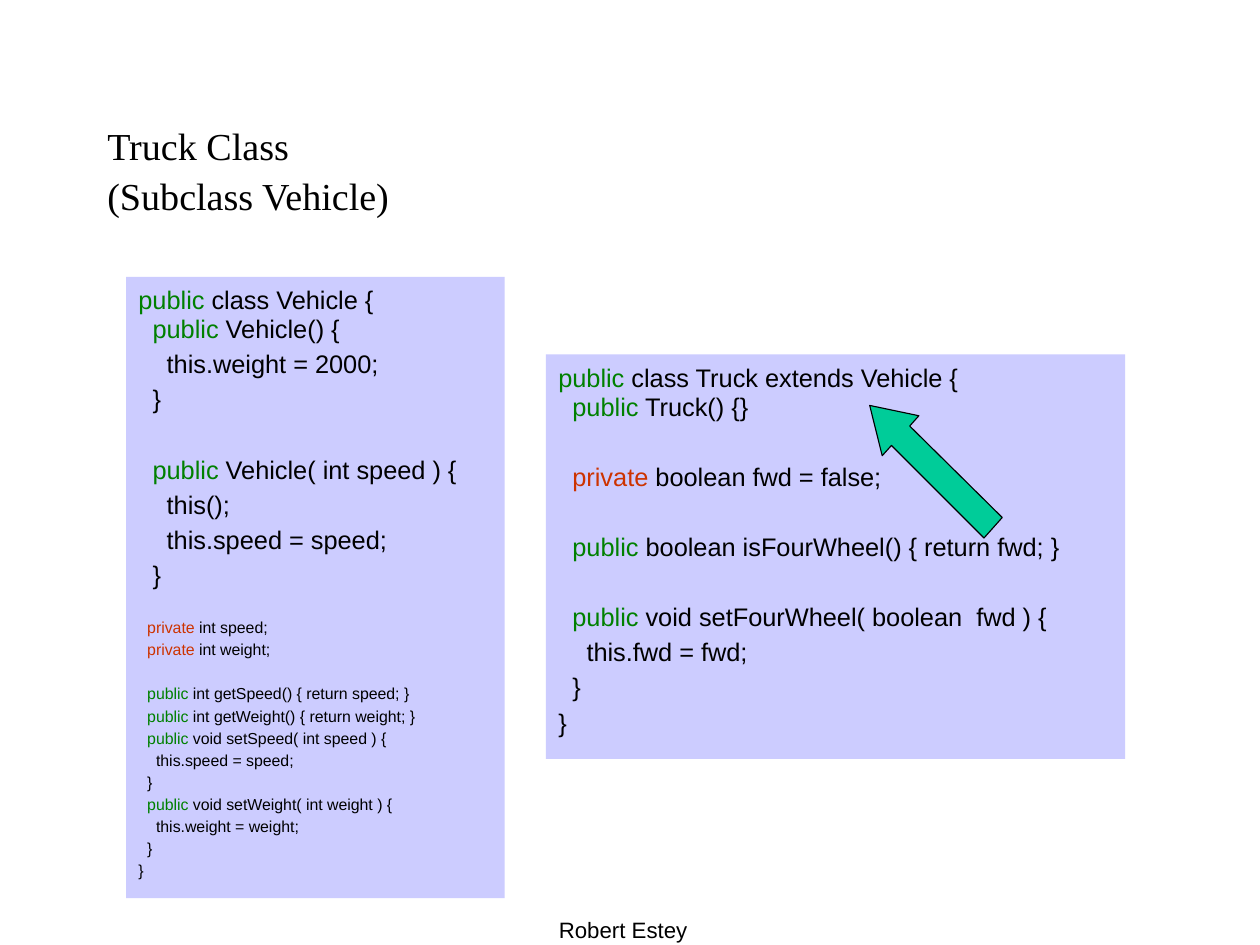
from dataclasses import dataclass
from typing import Any

from lxml.etree import SubElement
from pptx import Presentation
from pptx.dml.color import RGBColor
from pptx.enum.text import MSO_ANCHOR, MSO_AUTO_SIZE, PP_ALIGN
from pptx.oxml.ns import qn
from pptx.util import Pt

COLOURS = {
    "text": "000000",
    "public": "008000",
    "private": "CC3300",
    "panel": "CCCCFF",
    "arrow": "00CC99",
}
INDENT_EM = 0.556
LINE_HEIGHT = 1.15
LARGE, SMALL = 16, 10
LARGE_GAP, LARGE_BREAK = 3.7, 25.8
SMALL_GAP, SMALL_BREAK, SECTION_BREAK = 2.4, 16.3, 18.3


@dataclass(frozen=True)
class CodeLine:
    text: str
    level: int = 0
    gap: float = LARGE_GAP
    size: int = LARGE


@dataclass(frozen=True)
class CodePanel:
    placeholder: int
    left: float
    top: float
    width: float
    height: float
    lines: tuple[CodeLine, ...]


def small(text: str, level: int = 0, gap: float = SMALL_GAP) -> CodeLine:
    return CodeLine(text, level, gap, SMALL)


VEHICLE = CodePanel(1, 79.4, 174.4, 238.6, 391.4, (
    CodeLine("public class Vehicle {", 0, 0),
    CodeLine("public Vehicle() {", 1, 0),
    CodeLine("this.weight = 2000;", 2),
    CodeLine("}", 1),
    CodeLine("public Vehicle( int speed ) {", 1, LARGE_BREAK),
    CodeLine("this();", 2),
    CodeLine("this.speed = speed;", 2),
    CodeLine("}", 1),
    small("private int speed;", 1, SECTION_BREAK),
    small("private int weight;", 1),
    small("public int getSpeed() { return speed; }", 1, SMALL_BREAK),
    small("public int getWeight() { return weight; }", 1),
    small("public void setSpeed( int speed ) {", 1),
    small("this.speed = speed;", 2),
    small("}", 1),
    small("public void setWeight( int weight ) {", 1),
    small("this.weight = weight;", 2),
    small("}", 1),
    small("}"),
))
TRUCK = CodePanel(2, 343.9, 223.2, 365, 254.9, (
    CodeLine("public class Truck extends Vehicle {", 0, 0),
    CodeLine("public Truck() {}", 1, 0),
    CodeLine("private boolean fwd = false;", 1, LARGE_BREAK),
    CodeLine("public boolean isFourWheel() { return fwd; }", 1, LARGE_BREAK),
    CodeLine("public void setFourWheel( boolean  fwd ) {", 1, LARGE_BREAK),
    CodeLine("this.fwd = fwd;", 2),
    CodeLine("}", 1),
    CodeLine("}"),
))
ARROW_OUTLINE = (
    (619.9, 338.9), (561.6, 280.6), (555.8, 287.1), (547.9, 255.4),
    (578.9, 261.9), (573.1, 268.4), (631.4, 326),
)


def apply(target: Any, values: dict[str, Any]) -> None:
    for attribute, value in values.items():
        setattr(target, attribute, value)


def place(shape: Any, left: float, top: float, width: float, height: float) -> None:
    apply(shape, {"left": Pt(left), "top": Pt(top), "width": Pt(width), "height": Pt(height)})


def set_frame(shape: Any, left_inset: float = 0, top_inset: float = 0) -> None:
    apply(shape.text_frame, {
        "word_wrap": True,
        "auto_size": MSO_AUTO_SIZE.NONE,
        "vertical_anchor": MSO_ANCHOR.TOP,
        "margin_left": Pt(left_inset),
        "margin_top": Pt(top_inset),
        "margin_right": Pt(0),
        "margin_bottom": Pt(0),
    })


def paint(shape: Any, colour: str) -> None:
    shape.fill.solid()
    shape.fill.fore_color.rgb = RGBColor.from_string(COLOURS[colour])


def add_words(paragraph: Any, text: str, font_name: str, size: float, colour: str = "text") -> None:
    words = paragraph.add_run()
    words.text = text
    apply(words.font, {"name": font_name, "size": Pt(size)})
    words.font.color.rgb = RGBColor.from_string(COLOURS[colour])


def add_paragraph(frame: Any, position: int, gap: float, size: float) -> Any:
    paragraph = frame.add_paragraph() if position else frame.paragraphs[0]
    apply(paragraph, {
        "alignment": PP_ALIGN.LEFT,
        "space_before": Pt(gap),
        "space_after": Pt(0),
        "line_spacing": Pt(LINE_HEIGHT * size),
    })
    return paragraph


def write_title(title: Any) -> None:
    place(title, 67.6, 78.1, 300, 62)
    set_frame(title)
    for position, heading in enumerate(("Truck Class", "(Subclass Vehicle)")):
        paragraph = add_paragraph(title.text_frame, position, 3.9 * position, 24)
        add_words(paragraph, heading, "Times New Roman", 24)


def write_panel(slide: Any, panel: CodePanel) -> None:
    listing = slide.placeholders[panel.placeholder]
    place(listing, panel.left, panel.top, panel.width, panel.height)
    set_frame(listing, 7.8, 5.4)
    paint(listing, "panel")
    for position, line in enumerate(panel.lines):
        paragraph = add_paragraph(listing.text_frame, position, line.gap, line.size)
        properties = paragraph._p.get_or_add_pPr()
        properties.set("marL", str(Pt(line.level * INDENT_EM * line.size)))
        properties.set("indent", "0")
        SubElement(properties, qn("a:buNone"))
        keyword, space, rest = line.text.partition(" ")
        if keyword in COLOURS:
            add_words(paragraph, keyword, "Arial", line.size, keyword)
            add_words(paragraph, space + rest, "Arial", line.size)
        else:
            add_words(paragraph, line.text, "Arial", line.size)


def draw_arrow(slide: Any) -> None:
    start, *corners = [(Pt(x), Pt(y)) for x, y in ARROW_OUTLINE]
    outline = slide.shapes.build_freeform(*start)
    outline.add_line_segments(corners, close=True)
    arrow = outline.convert_to_shape()
    arrow.shadow.inherit = False
    paint(arrow, "arrow")
    arrow.line.color.rgb = RGBColor.from_string(COLOURS["text"])
    arrow.line.width = Pt(0.71)


def write_author(slide: Any) -> None:
    author = slide.shapes.add_textbox(Pt(352), Pt(577.6), Pt(90), Pt(17))
    set_frame(author)
    add_words(add_paragraph(author.text_frame, 0, 0, 14), "Robert Estey", "Arial", 14)


def main() -> None:
    presentation = Presentation()
    apply(presentation, {"slide_width": Pt(793.75), "slide_height": Pt(595.25)})
    slide = presentation.slides.add_slide(presentation.slide_layouts.get_by_name("Two Content"))
    write_title(slide.shapes.title)
    for panel in (VEHICLE, TRUCK):
        write_panel(slide, panel)
    draw_arrow(slide)
    write_author(slide)
    presentation.save("out.pptx")


if __name__ == "__main__":
    main()
